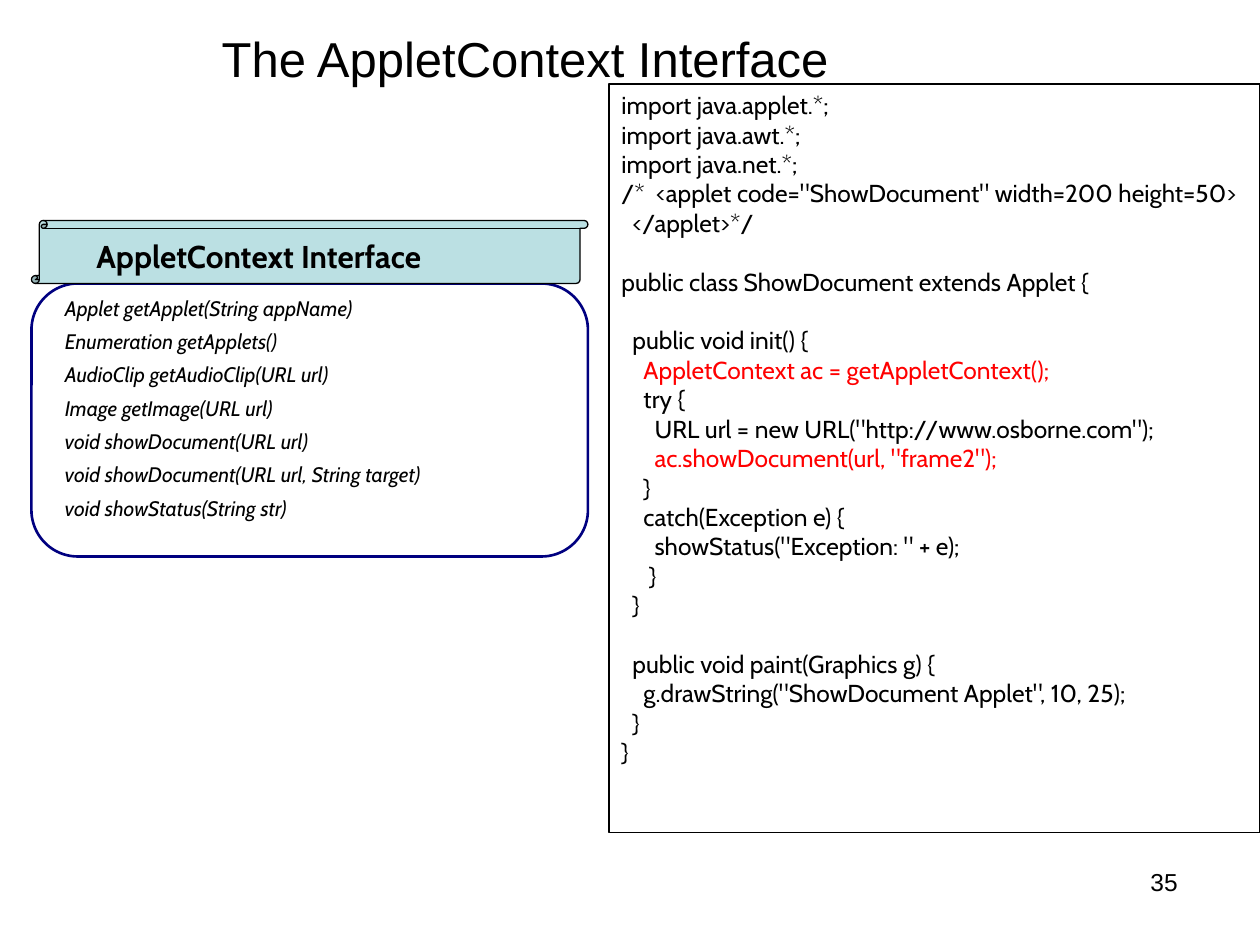
from pptx import Presentation
from pptx.dml.color import RGBColor
from pptx.enum.shapes import MSO_SHAPE as SHAPE
from pptx.enum.text import MSO_ANCHOR as ANCHOR, PP_ALIGN as ALIGN
from pptx.util import Inches, Pt

COLORS = {"text": "000000", "accent": "FF0000", "frame": "000080", "banner": "BBE0E3"}

METHODS = [
    "Applet getApplet(String appName)",
    "Enumeration getApplets()",
    "AudioClip getAudioClip(URL url)",
    "Image getImage(URL url)",
    "void showDocument(URL url)",
    "void showDocument(URL url, String target)",
    "void showStatus(String str)",
]

CODE = """import java.applet.*;
import java.awt.*;
import java.net.*;
/*  <applet code="ShowDocument" width=200 height=50>
  </applet>*/

public class ShowDocument extends Applet {

  public void init() {
    AppletContext ac = getAppletContext();
    try {
      URL url = new URL("http://www.osborne.com");
      ac.showDocument(url, "frame2");
    }
    catch(Exception e) {
      showStatus("Exception: " + e);
     }
  }

  public void paint(Graphics g) {
    g.drawString("ShowDocument Applet", 10, 25);
  }
}""".split("\n")

HIGHLIGHTS = ("AppletContext ac", "ac.showDocument")


class Deck:
    """Draws styled elements on a slide laid out in 120 columns by 90 rows."""

    def __init__(self, width=10, height=7.5):
        self.prs = Presentation()
        self.prs.slide_width, self.prs.slide_height = Inches(width), Inches(height)
        self.col, self.row = self.prs.slide_width / 120, self.prs.slide_height / 90
        self.s = self.prs.slides.add_slide(self.prs.slide_layouts[6])

    def area(self, x, y, w, h):
        return [round(v * unit) for v, unit in zip((x, y, w, h), (self.col, self.row) * 2)]

    def color(self, name):
        return RGBColor.from_string(COLORS[name])

    def shape(self, kind, cell, line, weight, fill=None, adjust=None):
        sp = self.s.shapes.add_shape(kind, *self.area(*cell))
        sp.shadow.inherit = False
        if adjust is not None:
            sp.adjustments[0] = adjust
        if fill:
            sp.fill.solid()
            sp.fill.fore_color.rgb = self.color(fill)
        else:
            sp.fill.background()
        sp.line.color.rgb = self.color(line)
        sp.line.width = Pt(weight)
        return sp

    def text(self, cell, lines, **style):
        sp = self.s.shapes.add_textbox(*self.area(*cell))
        self.set_lines(sp, lines, **style)

    def set_lines(self, sp, lines, size, font="Cabin", bold=False, italic=False,
                  align=ALIGN.LEFT, anchor=ANCHOR.TOP, leading=None, gap=0, highlights=()):
        tf = sp.text_frame
        tf.word_wrap, tf.vertical_anchor = True, anchor
        tf.text = "\n".join(lines)
        for i, p in enumerate(tf.paragraphs):
            p.alignment = align
            if leading:
                p.line_spacing = leading
            if gap and i:
                p.space_before = Pt(gap)
            if not p.runs:
                p._p.get_or_add_endParaRPr().set("sz", str(size * 100))
            marked = p.text.strip().startswith(tuple(highlights))
            for r in p.runs:
                r.font.name, r.font.size = font, Pt(size)
                r.font.bold, r.font.italic = bold, italic
                r.font.color.rgb = self.color("accent" if marked else "text")

    def code(self, cell, lines, highlights):
        sp = self.shape(SHAPE.RECTANGLE, cell, "text", 0.75)
        self.set_lines(sp, lines, 14, highlights=highlights)

    def save(self):
        self.prs.save("out.pptx")


def main():
    deck = Deck()
    deck.text((16, 2, 68, 7), ["The AppletContext Interface"], size=28, font="Arial",
              align=ALIGN.CENTER, anchor=ANCHOR.MIDDLE)
    deck.text((86, 82, 28, 6.25), ["35 "], size=14, font="Arial", align=ALIGN.RIGHT)
    deck.shape(SHAPE.ROUNDED_RECTANGLE, (3, 27, 53, 26), "frame", 1.5, adjust=0.17)
    deck.text((5, 28, 50, 22.2), METHODS, size=12, italic=True, leading=0.8, gap=7.5)
    deck.shape(SHAPE.VERTICAL_SCROLL, (3, 21, 53, 6), "text", 0.75, "banner", 0.125)
    deck.text((8, 22, 49, 4.8), ["AppletContext Interface"], size=18, bold=True)
    deck.code((58, 8, 62, 71.3), CODE, HIGHLIGHTS)
    deck.save()


if __name__ == "__main__":
    main()
